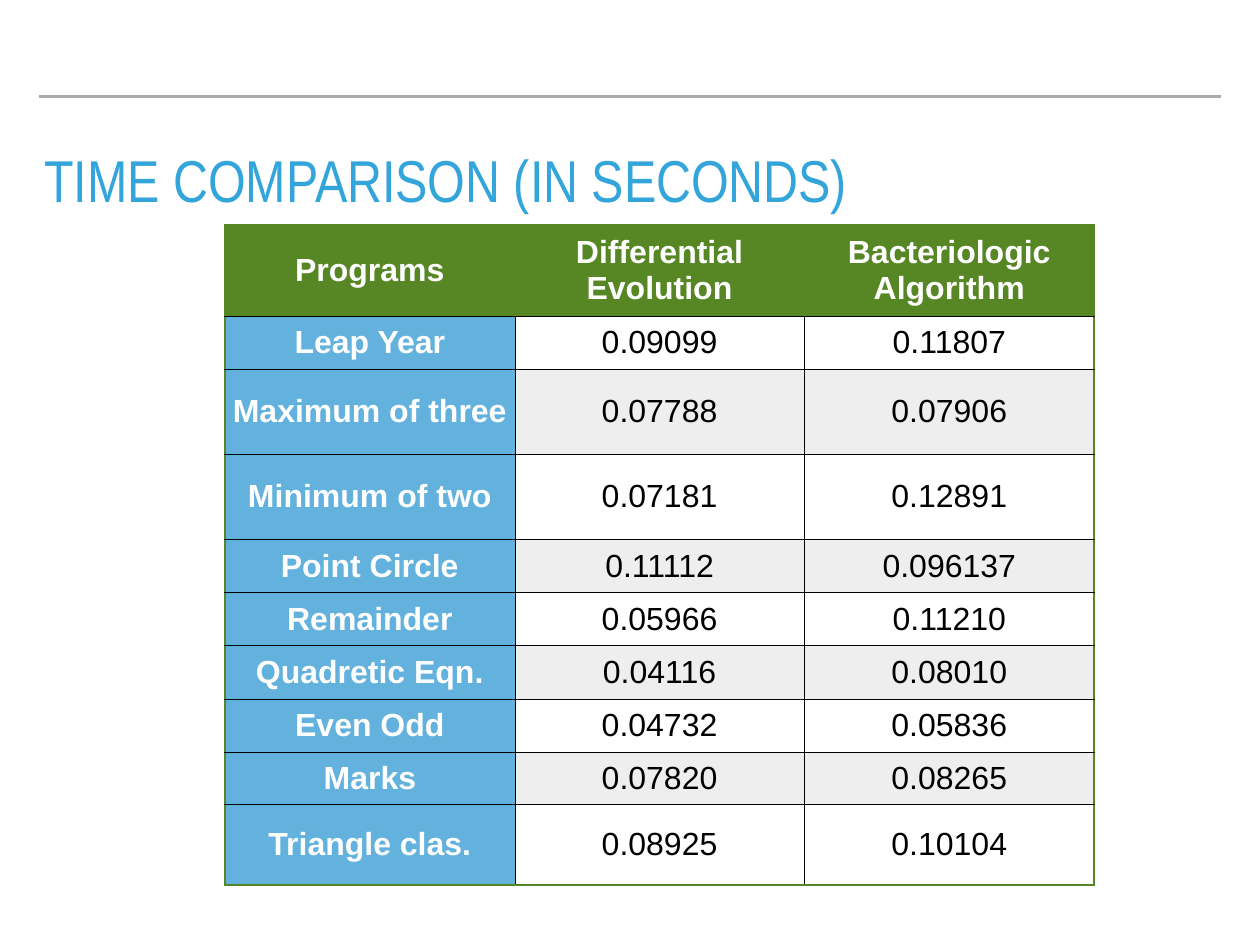
import lxml.etree
import pptx
import pptx.dml.color
import pptx.enum.shapes
import pptx.enum.text
import pptx.oxml.ns
import pptx.util

EMU_PER_PX = 9144
GREEN, BLUE, BLACK, WHITE = "578625", "63B2DE", "000000", "FFFFFF"
HEADINGS = ("Programs", "Differential Evolution", "Bacteriologic Algorithm")
TIMES = (
    ("Leap Year", "0.09099", "0.11807"),
    ("Maximum of three", "0.07788", "0.07906"),
    ("Minimum of two", "0.07181", "0.12891"),
    ("Point Circle", "0.11112", "0.096137"),
    ("Remainder", "0.05966", "0.11210"),
    ("Quadretic Eqn.", "0.04116", "0.08010"),
    ("Even Odd", "0.04732", "0.05836"),
    ("Marks", "0.07820", "0.08265"),
    ("Triangle clas.", "0.08925", "0.10104"),
)
ROW_HEIGHTS = (103, 60, 96, 96, 60, 60, 60, 60, 59, 91)


def px(length):
    return pptx.util.Emu(length * EMU_PER_PX)


def colour(value):
    return pptx.dml.color.RGBColor.from_string(value)


class SlideBuilder:
    """Draws styled elements on the current slide."""

    inset = 6

    def __init__(self, deck):
        self.page = deck.slides.add_slide(deck.slide_layouts[5])

    def add_text(self, frame, text, font, size, ink, align, before, bold=False):
        para = frame.paragraphs[0]
        para.alignment = align
        para.space_before = pptx.util.Pt(before)
        span = para.add_run()
        span.text = text
        span.font.name = font
        span.font.size = pptx.util.Pt(size)
        span.font.bold = bold
        span.font.color.rgb = colour(ink)
        return para

    def pad(self, target):
        target.margin_left = target.margin_right = px(self.inset)
        target.margin_top = target.margin_bottom = px(self.inset)

    def title(self, text, left, top, width, height):
        box = self.page.shapes.title
        box.left, box.top, box.width, box.height = map(px, (left, top, width, height))
        frame = box.text_frame
        frame.word_wrap = True
        frame.auto_size = pptx.enum.text.MSO_AUTO_SIZE.NONE
        frame.vertical_anchor = pptx.enum.text.MSO_ANCHOR.BOTTOM
        self.pad(frame)
        para = self.add_text(frame, text, "Arial Narrow", 48, "34A5DA",
                             pptx.enum.text.PP_ALIGN.LEFT, 22)
        para.line_spacing = 0.8

    def rule(self, left, right, top):
        line = self.page.shapes.add_connector(
            pptx.enum.shapes.MSO_CONNECTOR.STRAIGHT, px(left), px(top), px(right), px(top))
        line.line.color.rgb = colour("A6AAA9")
        line.line.width = pptx.util.Pt(2)
        properties = line._element.spPr
        lxml.etree.SubElement(properties, pptx.oxml.ns.qn("a:effectLst"))

    def borders(self, cell, edges):
        properties = cell._tc.get_or_add_tcPr()
        for index, (side, edge) in enumerate(edges.items()):
            line = lxml.etree.Element(pptx.oxml.ns.qn("a:ln" + side))
            if edge is None:
                lxml.etree.SubElement(line, pptx.oxml.ns.qn("a:noFill"))
            else:
                ink, width = edge
                line.set("w", str(pptx.util.Pt(width)))
                fill = lxml.etree.SubElement(line, pptx.oxml.ns.qn("a:solidFill"))
                lxml.etree.SubElement(fill, pptx.oxml.ns.qn("a:srgbClr"), val=ink)
            properties.insert(index, line)

    def cell(self, cell, text, fill, ink, bold):
        cell.fill.solid()
        cell.fill.fore_color.rgb = colour(fill)
        cell.vertical_anchor = pptx.enum.text.MSO_ANCHOR.MIDDLE
        self.pad(cell)
        self.add_text(cell.text_frame, text, "Arial", 26, ink,
                      pptx.enum.text.PP_ALIGN.CENTER, 24, bold)

    def table(self, rows, heights, left, top, column_width):
        last_row, last_column = len(rows) - 1, len(rows[0]) - 1
        grid = self.page.shapes.add_table(
            len(rows), len(rows[0]), px(left), px(top),
            px(column_width * len(rows[0])), px(sum(heights))).table
        grid.first_col = True
        for column in grid.columns:
            column.width = px(column_width)
        outer, inner = (GREEN, 2), (BLACK, 0.25)
        for r, texts in enumerate(rows):
            grid.rows[r].height = px(heights[r])
            upright = inner if r else None
            for c, text in enumerate(texts):
                heading = r == 0 or c == 0
                if r == 0:
                    fill = GREEN
                elif c == 0:
                    fill = BLUE
                else:
                    fill = WHITE if r % 2 else "EEEEEE"
                cell = grid.cell(r, c)
                self.cell(cell, text, fill, "FEFEFE" if heading else BLACK, heading)
                self.borders(cell, {
                    "L": outer if c == 0 else upright,
                    "R": outer if c == last_column else upright,
                    "T": outer if r == 0 else inner,
                    "B": outer if r == last_row else inner,
                })


def main():
    deck = pptx.Presentation()
    deck.slide_width, deck.slide_height = px(1422), px(1067)
    builder = SlideBuilder(deck)
    builder.rule(44, 1378, 109)
    builder.title("TIME COMPARISON (IN SECONDS)", 44, 168, 1333, 79)
    builder.table((HEADINGS,) + TIMES, ROW_HEIGHTS, 254, 254, 327)
    deck.save("out.pptx")


if __name__ == "__main__":
    main()
